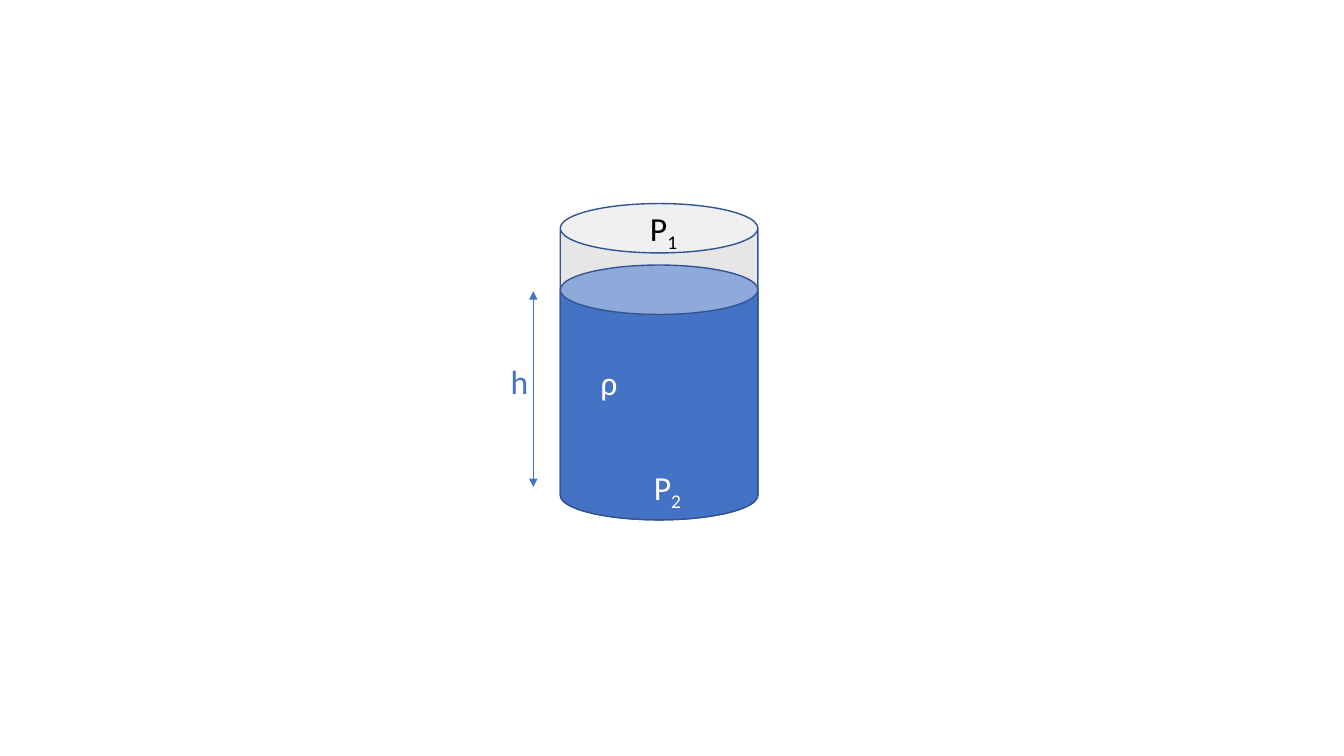
"""Build a slide showing the pressure at the top and bottom of a liquid column."""
import pptx
import pptx.dml.color
import pptx.enum.shapes
import pptx.enum.text
import pptx.oxml.ns
import pptx.util
import lxml.etree

Cm = pptx.util.Cm
Pt = pptx.util.Pt
RGB = pptx.dml.color.RGBColor.from_string
COLORS = {
    "liquid": "4472C4",
    "glass": "E7E6E6",
    "outline": "325491",
    "dark": "000000",
    "light": "FFFFFF",
}

deck = pptx.Presentation()
deck.slide_width = Cm(33.87)
deck.slide_height = Cm(19.05)
page = deck.slides.add_slide(deck.slide_layouts[6])

height_arrow = page.shapes.add_connector(
    pptx.enum.shapes.MSO_CONNECTOR.STRAIGHT, Cm(13.44), Cm(7.34), Cm(13.44), Cm(12.27)
)
height_arrow.line.color.rgb = RGB(COLORS["liquid"])
height_arrow.line.width = Pt(0.5)
arrow_line = height_arrow.line._get_or_add_ln()
for arrow_end in ("a:headEnd", "a:tailEnd"):
    lxml.etree.SubElement(arrow_line, pptx.oxml.ns.qn(arrow_end), type="triangle")
lxml.etree.SubElement(height_arrow._element.spPr, pptx.oxml.ns.qn("a:effectLst"))

column_bottom = 13.1
for top, color in ((5.13, "glass"), (6.68, "liquid")):
    cylinder = page.shapes.add_shape(
        pptx.enum.shapes.MSO_SHAPE.CAN, Cm(14.12), Cm(top), Cm(4.98), Cm(column_bottom - top)
    )
    cylinder.shadow.inherit = False
    cylinder.fill.solid()
    cylinder.fill.fore_color.rgb = RGB(COLORS[color])
    cylinder.line.color.rgb = RGB(COLORS["outline"])
    cylinder.line.width = Pt(1)

frame_format = {
    "word_wrap": False,
    "auto_size": pptx.enum.text.MSO_AUTO_SIZE.SHAPE_TO_FIT_TEXT,
}
font_format = {"name": "Calibri", "size": Pt(24)}
labels = (
    ("h", "", 12.62, 8.97, 0.97, "liquid"),
    ("P", "1", 16.13, 5.11, 1.24, "dark"),
    ("P", "2", 16.23, 11.63, 1.24, "light"),
    ("ρ", "", 14.88, 8.99, 0.94, "light"),
)
for symbol, subscript, left, top, width, color in labels:
    box = page.shapes.add_textbox(Cm(left), Cm(top), Cm(width), Cm(1.27))
    for name, value in frame_format.items():
        setattr(box.text_frame, name, value)
    para = box.text_frame.paragraphs[0]
    for text, baseline in ((symbol, "0"), (subscript, "-25000")):
        if text:
            span = para.add_run()
            span.text = text
            for name, value in font_format.items():
                setattr(span.font, name, value)
            span.font.color.rgb = RGB(COLORS[color])
            span._r.get_or_add_rPr().set("baseline", baseline)

deck.save("out.pptx")
